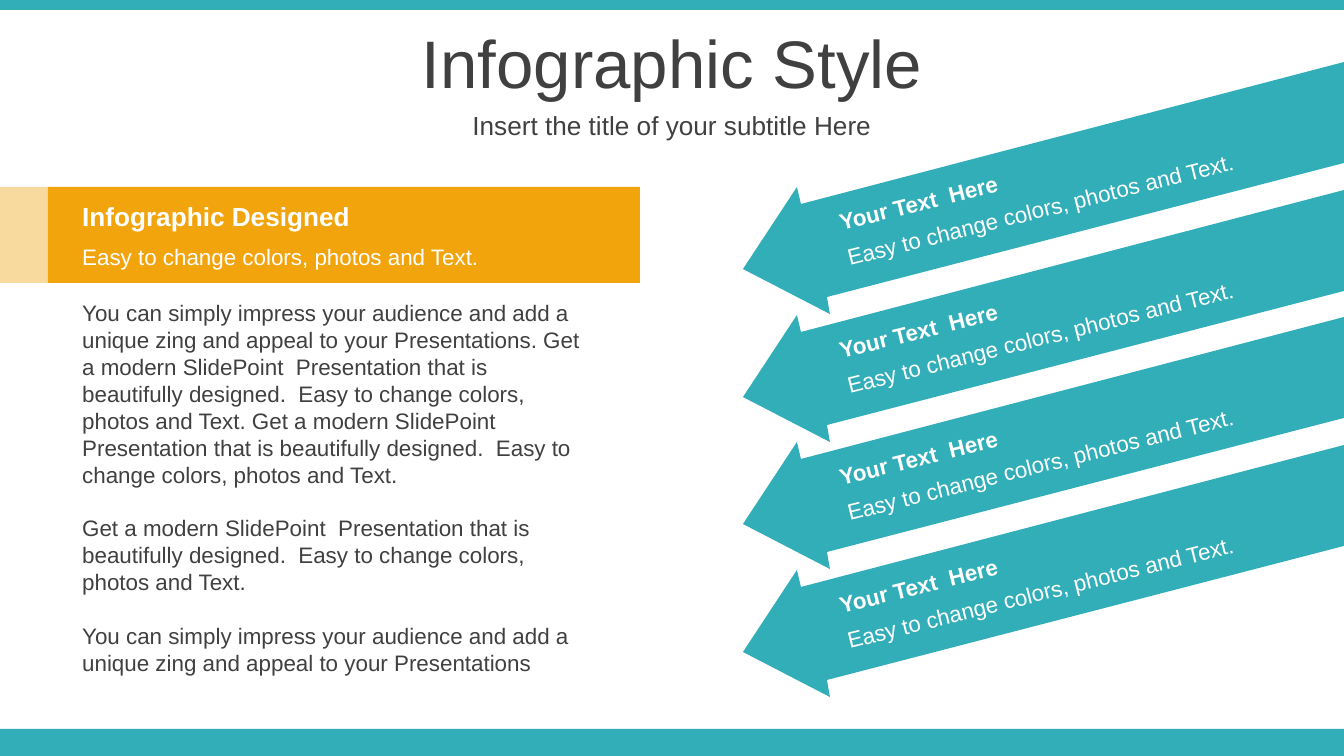
from lxml.etree import SubElement
from pptx import Presentation
from pptx.dml.color import RGBColor
from pptx.enum.shapes import MSO_SHAPE
from pptx.enum.text import MSO_ANCHOR, MSO_AUTO_SIZE, PP_ALIGN
from pptx.oxml.ns import qn
from pptx.util import Emu, Pt

PX = 914400 / 134.4
COLORS = {"teal": "32AEB8", "orange": "F2A40D", "dark": "404040", "white": "FFFFFF"}


def place(*lengths):
    return [Emu(round(length * PX)) for length in lengths]


def write(box, *texts, size=12, color="white", bold=False, align=PP_ALIGN.LEFT,
          anchor=MSO_ANCHOR.TOP, line=None, gap=0):
    frame = box.text_frame
    frame.word_wrap = True
    frame.auto_size = MSO_AUTO_SIZE.NONE
    frame.vertical_anchor = anchor
    for index, text in enumerate(texts):
        para = frame.add_paragraph() if index else frame.paragraphs[0]
        para.alignment = align
        para.space_before = Pt(gap if index else 0)
        if line:
            para.line_spacing = Pt(line)
        span = para.add_run()
        span.text = text
        span.font.name = "Arial"
        span.font.size = Pt(size)
        span.font.bold = bold
        span.font.color.rgb = RGBColor.from_string(COLORS[color])


deck = Presentation()
deck.slide_width, deck.slide_height = place(1344, 756)
page = deck.slides.add_slide(deck.slide_layouts[0])

# Edge bars and heading banner
for area, color, opacity in [
    ((0, 729, 1344, 27), "teal", 100),
    ((0, 0, 1344, 10), "teal", 100),
    ((48, 187, 592, 96), "orange", 100),
    ((0, 187, 48, 96), "orange", 40),
]:
    bar = page.shapes.add_shape(MSO_SHAPE.RECTANGLE, *place(*area))
    bar.shadow.inherit = False
    bar.fill.solid()
    bar.fill.fore_color.rgb = RGBColor.from_string(COLORS[color])
    bar.line.fill.background()
    if opacity < 100:
        tint = bar.fill._xPr.find(qn("a:solidFill"))[0]
        SubElement(tint, qn("a:alpha"), val=str(opacity * 1000))

# Title and subtitle
for holder, text, top, height, size in [
    (page.shapes.title, "Infographic Style", 19, 85, 36),
    (page.placeholders[1], "Insert the title of your subtitle Here", 104, 42, 14),
]:
    holder.left, holder.top, holder.width, holder.height = place(0, top, 1344, height)
    write(holder, text, size=size, color="dark", align=PP_ALIGN.CENTER,
          anchor=MSO_ANCHOR.MIDDLE)

# Banner text
tagline = "Easy to change colors, photos and Text."
heading = page.shapes.add_textbox(*place(69, 194, 476, 46))
write(heading, "Infographic Designed", size=14, bold=True)
subheading = page.shapes.add_textbox(*place(69, 237, 476, 40))
write(subheading, tagline)

# Body text
impress = ("You can simply impress your audience and add a unique zing and appeal "
           "to your Presentations")
modern = f"Get a modern SlidePoint  Presentation that is beautifully designed.  {tagline}"
body = page.shapes.add_textbox(*place(69, 293, 530, 394))
write(body, f"{impress}. {modern} {modern}", modern, impress,
      color="dark", line=14.4, gap=14.4)

# Slanted arrows with their labels
arrow_points = [(1344, 62), (1344, 163), (827, 297), (830, 314),
                (743, 269), (797, 187), (801, 204)]
for row in range(4):
    drop = round(row * 383 / 3)
    points = [(x, y + drop) for x, y in arrow_points]
    outline = page.shapes.build_freeform(*points[0], scale=PX)
    outline.add_line_segments(points[1:], close=True)
    arrow = outline.convert_to_shape()
    arrow.shadow.inherit = False
    arrow.fill.solid()
    arrow.fill.fore_color.rgb = RGBColor.from_string(COLORS["teal"])
    arrow.line.fill.background()
    for text, left, top, bold in [(tagline, 828, 185, False),
                                  ("Your Text  Here", 820, 150, True)]:
        label = page.shapes.add_textbox(*place(left, top + drop, 456, 40))
        label.rotation = 346
        write(label, text, bold=bold)

deck.save("out.pptx")
